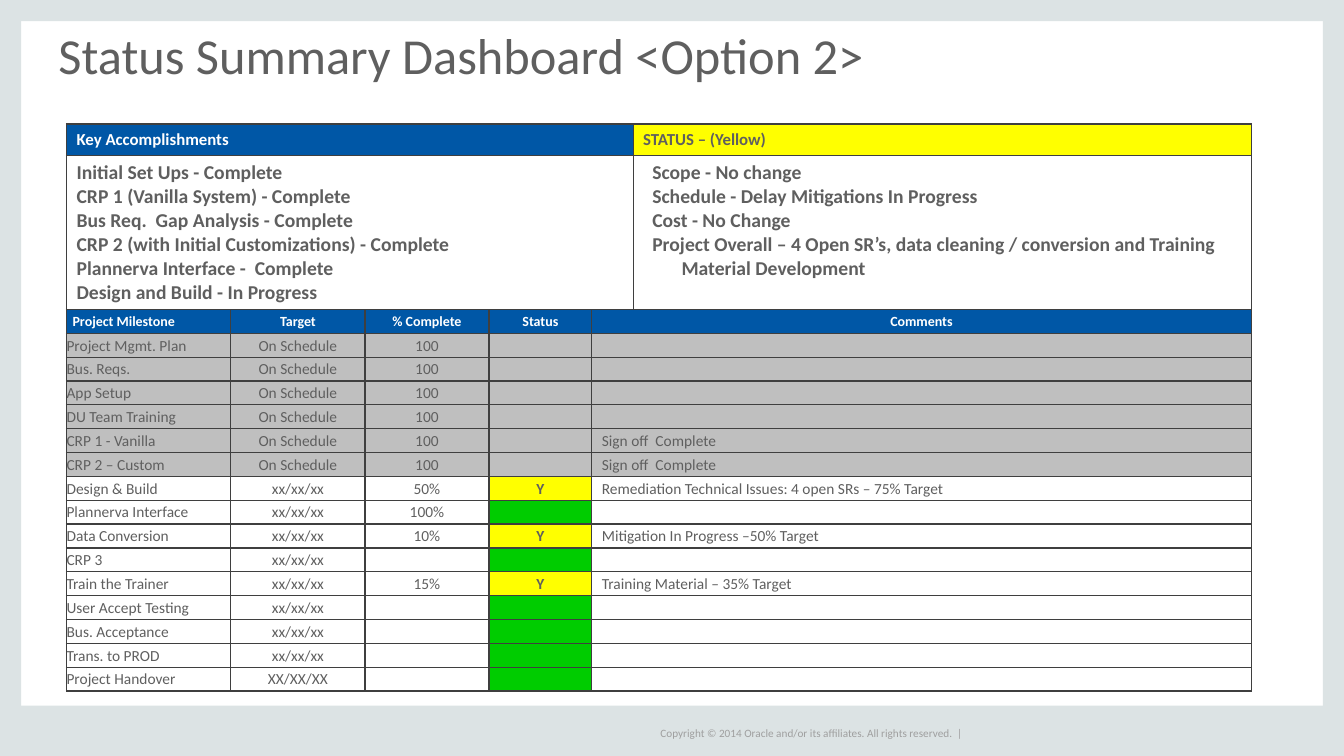
"""Build the project status dashboard slide."""
from lxml import etree
from pptx import Presentation
from pptx import util as u
from pptx.dml.color import RGBColor
from pptx.enum import shapes, text
from pptx.oxml import ns

HUES = {"frame": "DCE3E4", "blue": "0057A6", "yellow": "FFFF00",
        "green": "00CC00", "done": "BFBFBF", "white": "FFFFFF",
        "ink": "5F5F5F", "edge": "3F3F3F", "faint": "9F9F9F"}
WIDE, HIGH = 13.33, 7.5
FONT = "Calibri"
LEFT, MID = text.PP_ALIGN.LEFT, text.PP_ALIGN.CENTER

WINS = ["Initial Set Ups - Complete", "CRP 1 (Vanilla System) - Complete",
        "Bus Req.  Gap Analysis - Complete",
        "CRP 2 (with Initial Customizations) - Complete",
        "Plannerva Interface -  Complete", "Design and Build - In Progress"]
STATE = ["Scope - No change", "Schedule - Delay Mitigations In Progress",
         "Cost - No Change",
         "Project Overall – 4 Open SR’s, data cleaning / conversion and "
         "Training Material Development"]
HEADS = ["Project Milestone", "Target", "% Complete", "Status", "Comments"]
DONE = [("Project Mgmt. Plan", ""), ("Bus. Reqs.", ""), ("App Setup", ""),
        ("DU Team Training", ""), ("CRP 1 - Vanilla", "Sign off  Complete"),
        ("CRP 2 – Custom", "Sign off  Complete")]
DATE = "xx/xx/xx"
OPEN = [("Design & Build", DATE, "50%", "Y",
         "Remediation Technical Issues: 4 open SRs – 75% Target"),
        ("Plannerva Interface", DATE, "100%", "", ""),
        ("Data Conversion", DATE, "10%", "Y",
         "Mitigation In Progress –50% Target"),
        ("CRP 3", DATE, "", "", ""),
        ("Train the Trainer", DATE, "15%", "Y",
         "Training Material – 35% Target"),
        ("User Accept Testing", DATE, "", "", ""),
        ("Bus. Acceptance", DATE, "", "", ""),
        ("Trans. to PROD", DATE, "", "", ""),
        ("Project Handover", "XX/XX/XX", "", "", "")]


def rgb(hue):
    """Return the named colour."""
    return RGBColor.from_string(HUES[hue])


def span(box):
    """Turn a box in inches into lengths."""
    return [u.Inches(n) for n in box]


def write(para, words, size, hue="ink", bold=False):
    """Add one styled run, or set the height of an empty line."""
    if not words:
        etree.SubElement(para._p, ns.qn("a:endParaRPr"), sz=str(size * 100))
        return
    run = para.add_run()
    run.text = words
    run.font.name, run.font.size = FONT, u.Pt(size)
    run.font.bold, run.font.color.rgb = bold, rgb(hue)


def edge(cell):
    """Draw thin lines on all sides of a cell."""
    props = cell._tc.get_or_add_tcPr()
    for side in ("lnL", "lnR", "lnT", "lnB"):
        line = etree.SubElement(props, ns.qn("a:" + side), w=str(u.Pt(1)))
        fill = etree.SubElement(line, ns.qn("a:solidFill"))
        etree.SubElement(fill, ns.qn("a:srgbClr"), val=HUES["edge"])


def fill(cell, lines, size, back, hue="ink", bold=False, align=LEFT,
         pad=(0.1, 0.06, 0.1, 0.05), hang=None):
    """Style one cell and write its lines."""
    edge(cell)
    cell.fill.solid()
    cell.fill.fore_color.rgb = rgb(back)
    (cell.margin_left, cell.margin_top,
     cell.margin_right, cell.margin_bottom) = span(pad)
    cell.vertical_anchor = text.MSO_ANCHOR.MIDDLE
    for i, words in enumerate(lines):
        frame = cell.text_frame
        para = frame.add_paragraph() if i else frame.paragraphs[0]
        para.alignment = align
        if hang:
            props = para._p.get_or_add_pPr()
            props.set("marL", str(u.Inches(hang[0])))
            props.set("indent", str(u.Inches(hang[1])))
        write(para, words, size, hue, bold)


def grid(slide, box, cols, rows):
    """Add a plain table with columns and rows as shares of its box."""
    table = slide.shapes.add_table(len(rows), len(cols), *span(box)).table
    table.first_row = table.horz_banding = False
    for parts, shares, size in ((table.columns, cols, box[2]),
                                (table.rows, rows, box[3])):
        for part, share in zip(parts, shares):
            length = u.Inches(size * share / sum(shares))
            if parts is table.columns:
                part.width = length
            else:
                part.height = length
    return table


def border(slide, edge_w=0.21, foot=0.5):
    """Frame the slide with four bands."""
    for box in ((0, 0, edge_w, HIGH), (WIDE - edge_w, 0, edge_w, HIGH),
                (0, HIGH - foot, WIDE, foot), (0, 0, WIDE, edge_w)):
        band = slide.shapes.add_shape(shapes.MSO_SHAPE.RECTANGLE, *span(box))
        band.shadow.inherit = False
        band.fill.solid()
        band.fill.fore_color.rgb = rgb("frame")
        band.line.fill.background()


def clear(frame, anchor):
    """Remove insets and set the anchor of a text frame."""
    frame.margin_left = frame.margin_right = 0
    frame.margin_top = frame.margin_bottom = 0
    frame.vertical_anchor = anchor


def title(slide, box):
    """Place the slide title."""
    head = slide.shapes.title
    head.left, head.top, head.width, head.height = span(box)
    clear(head.text_frame, text.MSO_ANCHOR.BOTTOM)
    para = head.text_frame.paragraphs[0]
    para.alignment, para.line_spacing = LEFT, 0.8
    write(para, "Status Summary Dashboard <Option 2>", 36)


def footer(slide, box):
    """Place the copyright line."""
    frame = slide.shapes.add_textbox(*span(box)).text_frame
    clear(frame, text.MSO_ANCHOR.MIDDLE)
    write(frame.paragraphs[0], "Copyright © 2014 Oracle and/or its "
          "affiliates. All rights reserved.  |", 8, "faint")


def status(slide, box):
    """Place the accomplishments and status summary."""
    table = grid(slide, box, (5.62, 6.13), (0.3, 1.53))
    fill(table.cell(0, 0), ["Key Accomplishments"], 12, "blue", "white", True)
    fill(table.cell(0, 1), ["STATUS – (Yellow)"], 12, "yellow", bold=True)
    fill(table.cell(1, 0), WINS, 14, "white", bold=True)
    fill(table.cell(1, 1), STATE, 14, "white", bold=True, hang=(0.38, -0.29))
    table.cell(1, 1).vertical_anchor = text.MSO_ANCHOR.TOP


def stones(slide, box):
    """Place the milestone table."""
    rows = [(name, "On Schedule", "100", "", note) for name, note in DONE]
    rows += OPEN
    table = grid(slide, box, (1.63, 1.33, 1.23, 1.02, 6.54),
                 [0.25] + [0.24] * len(rows))
    for col, name in enumerate(HEADS):
        fill(table.cell(0, col), [name], 10, "blue", "white", True,
             MID if col else LEFT, (0 if col else 0.06, 0.03, 0, 0.01))
    for row, words in enumerate(rows, 1):
        done = row <= len(DONE)
        for col, word in enumerate(words):
            back = "done" if done else "white"
            if col == 3 and not done:
                back = "yellow" if word else "green"
            fill(table.cell(row, col), [word], 11, back, bold=col == 3,
                 align=MID if col in (1, 2, 3) else LEFT,
                 pad=(0.1 if col == 4 else 0, 0.02, 0, 0.01))


def main():
    """Build and save the slide."""
    deck = Presentation()
    deck.slide_width, deck.slide_height = span((WIDE, HIGH))
    slide = deck.slides.add_slide(deck.slide_layouts[5])
    border(slide)
    footer(slide, (6.55, 7.17, 3.05, 0.2))
    title(slide, (0.58, 0.24, 12.17, 0.6))
    stones(slide, (0.66, 3.06, 11.75, 3.8))
    status(slide, (0.66, 1.23, 11.75, 1.83))
    deck.save("out.pptx")


if __name__ == "__main__":
    main()
